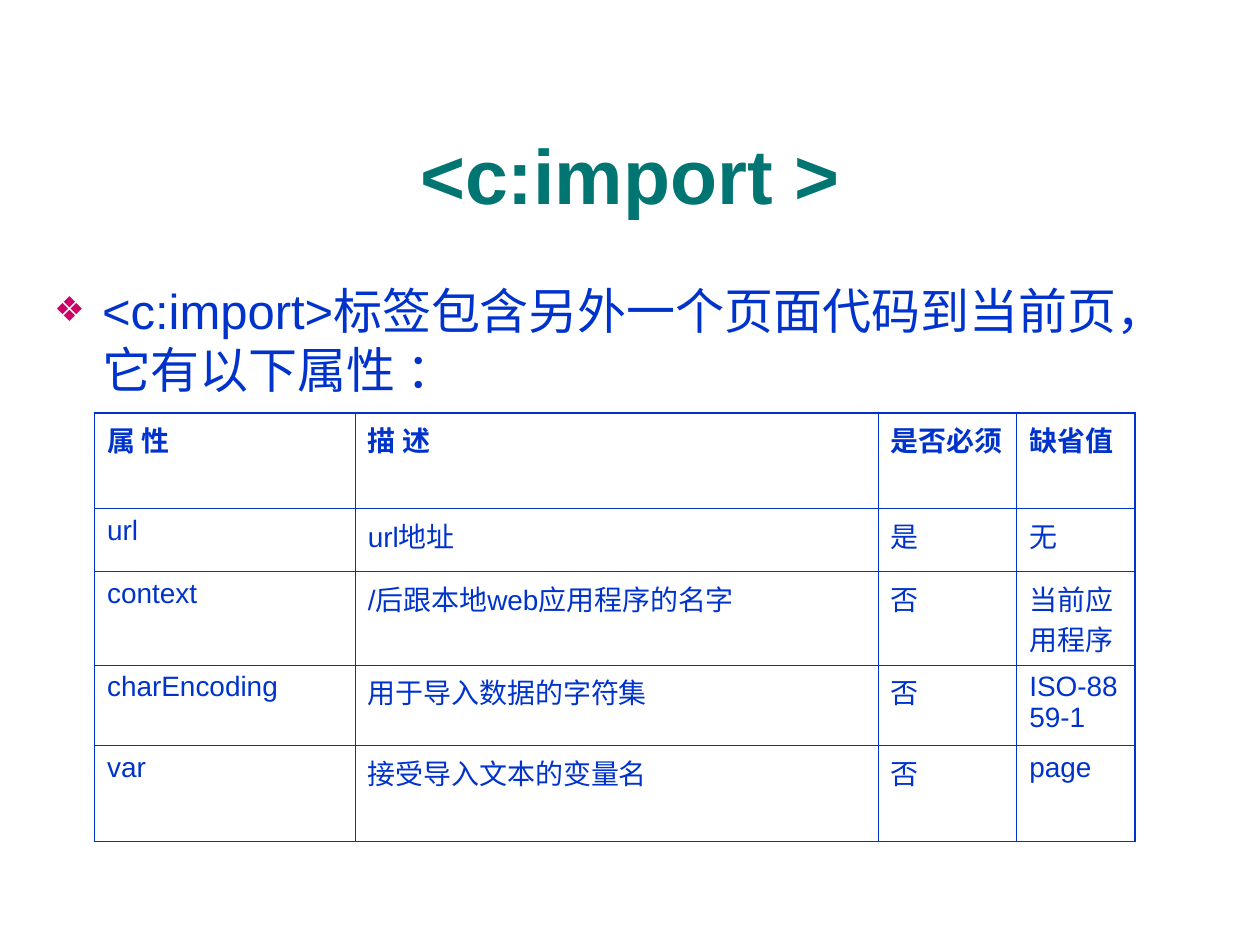
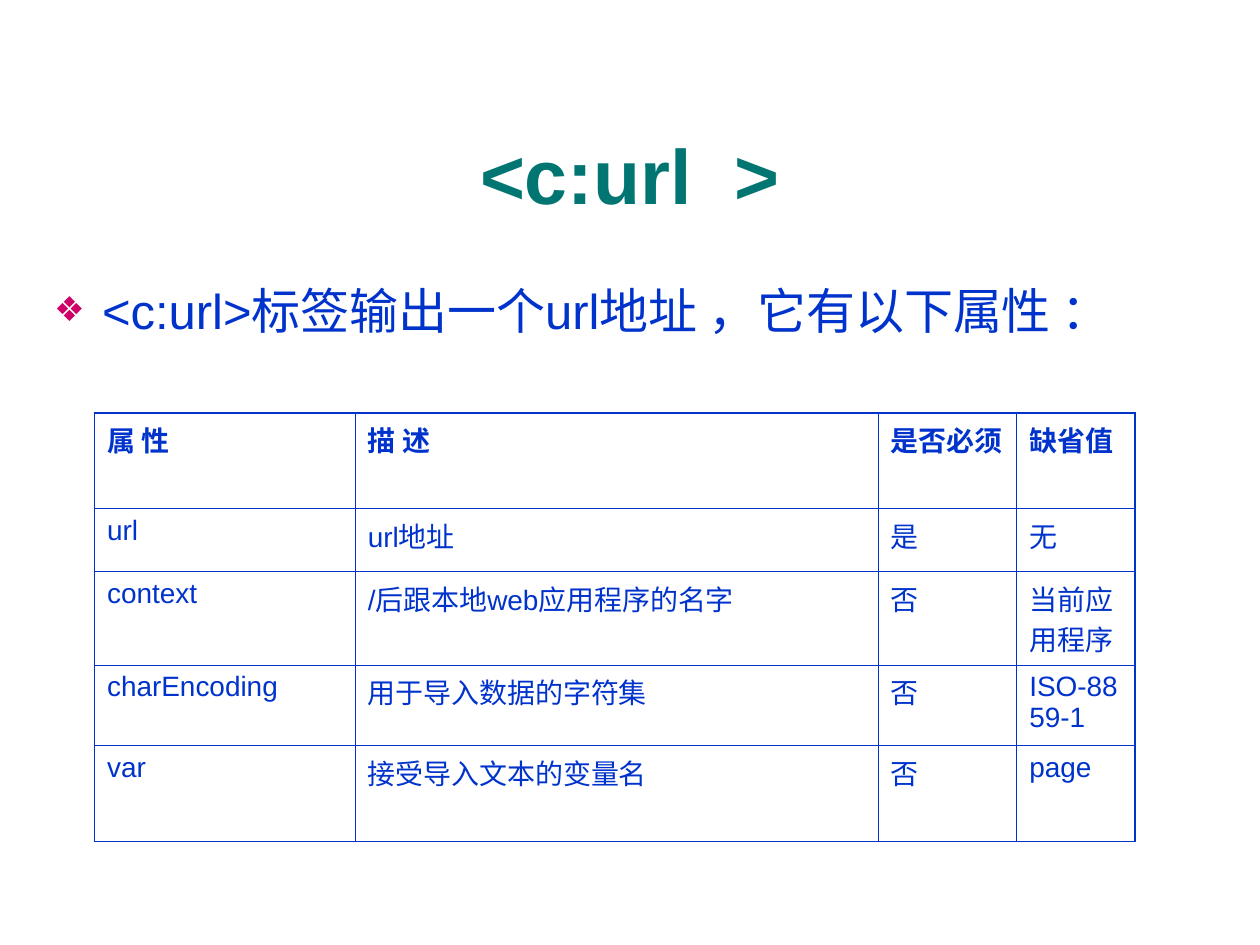
from lxml import etree
from pptx import Presentation
from pptx import util as u
from pptx.dml.color import RGBColor
from pptx.enum import lang, text
from pptx.oxml import ns

TEAL = RGBColor(0x00, 0x75, 0x72)
BLUE = RGBColor(0x00, 0x33, 0xCC)
MAGENTA = RGBColor(0xCC, 0x00, 0x66)
WIDTH, HEIGHT = u.Inches(10), u.Inches(7.5)

TITLE_AREA = (0.033, 0.1, 0.934, 0.167)
INTRO_AREA = (0.033, 0.29, 0.908, 0.567)
TABLE_AREA = (0.075, 0.437, 0.826, 0.44)
COLUMN_WIDTHS = (2.07, 4.15, 1.1, 0.94)
ROW_HEIGHTS = (0.76, 0.5, 0.64, 0.64, 0.76)
OUTER_EDGE, INNER_EDGE = u.Pt(1.08), u.Pt(0.45)

BASE_FONT = {"name": "Arial", "language_id": lang.MSO_LANGUAGE_ID.SIMPLIFIED_CHINESE}
TITLE_FONT = {**BASE_FONT, "size": u.Pt(44), "bold": True}
INTRO_FONT = {**BASE_FONT, "size": u.Pt(28), "bold": False}
HEADER_FONT = {**BASE_FONT, "size": u.Pt(16), "bold": True}
ENTRY_FONT = {**HEADER_FONT, "bold": False}

ATTRIBUTES = (
    ("属 性", "描 述", "是否必须", "缺省值"),
    ("url", "url地址", "是", "无"),
    ("context", "/后跟本地web应用程序的名字", "否", "当前应用程序"),
    ("charEncoding", "用于导入数据的字符集", "否", "ISO-8859-1"),
    ("var", "接受导入文本的变量名", "否", "page"),
)
TAGS = (
    ("<c:import >", "<c:import>标签包含另外一个页面代码到当前页，它有以下属性 ："),
    ("<c:url  >", "<c:url>标签输出一个url地址 ，它有以下属性 ："),
)


def apply(target, values):
    """Set every attribute in values on target."""
    for name, value in values.items():
        setattr(target, name, value)


def to_box(shares):
    """Turn shares of the slide into left, top, width and height."""
    return [round(share * side) for share, side in zip(shares, (WIDTH, HEIGHT) * 2)]


def add_child(parent, tag, **attributes):
    """Append a DrawingML element to parent."""
    return etree.SubElement(parent, ns.qn(tag), attributes)


def write(paragraph, wording, font, colour):
    """Write one formatted run with no space around its paragraph."""
    apply(paragraph, {"space_before": u.Pt(0), "space_after": u.Pt(0)})
    run = paragraph.add_run()
    run.text = wording
    apply(run.font, font)
    run.font.color.rgb = colour


def fill_placeholder(placeholder, area, wording, font, colour, anchor):
    """Move a placeholder, write its text and return the paragraph."""
    apply(placeholder, dict(zip(("left", "top", "width", "height"), to_box(area))))
    frame = placeholder.text_frame
    apply(frame, {"word_wrap": True, "auto_size": text.MSO_AUTO_SIZE.NONE,
                  "vertical_anchor": anchor})
    paragraph = frame.paragraphs[0]
    write(paragraph, wording, font, colour)
    return paragraph


def add_diamond_bullet(paragraph):
    """Give a paragraph the magenta diamond bullet and a hanging indent."""
    properties = paragraph._p.get_or_add_pPr()
    indent = u.Inches(0.38)
    properties.set("marL", str(indent))
    properties.set("indent", str(-indent))
    bullet_colour = add_child(properties, "a:buClr")
    add_child(bullet_colour, "a:srgbClr", val=str(MAGENTA))
    add_child(properties, "a:buSzPct", val="70000")
    add_child(properties, "a:buFont", typeface="Arial")
    add_child(properties, "a:buChar", char="❖")


def draw_edges(cell, outer_sides):
    """Draw the four edges of a cell, heavier where they close the table."""
    properties = cell._tc.get_or_add_tcPr()
    for side, is_outer in outer_sides.items():
        width = OUTER_EDGE if is_outer else INNER_EDGE
        edge = add_child(properties, f"a:ln{side}", w=str(width))
        paint = add_child(edge, "a:solidFill")
        add_child(paint, "a:srgbClr", val=str(BLUE))


def add_attribute_table(slide, entries):
    """Add the table that lists the attributes of a tag."""
    last_row, last_column = len(entries) - 1, len(entries[0]) - 1
    table = slide.shapes.add_table(
        len(entries), len(entries[0]), *to_box(TABLE_AREA)).table
    table.horz_banding = False
    for column, width in zip(table.columns, COLUMN_WIDTHS):
        column.width = u.Inches(width)
    for row, height in zip(table.rows, ROW_HEIGHTS):
        row.height = u.Inches(height)
    for r, entry in enumerate(entries):
        for c, wording in enumerate(entry):
            cell = table.cell(r, c)
            draw_edges(cell, {"L": c == 0, "R": c == last_column,
                              "T": r == 0, "B": r == last_row})
            cell.fill.background()
            font = ENTRY_FONT if r else HEADER_FONT
            write(cell.text_frame.paragraphs[0], wording, font, BLUE)


def add_tag_slide(deck, heading, introduction):
    """Add a slide that explains one tag and its attributes."""
    slide = deck.slides.add_slide(deck.slide_layouts[1])
    title, intro = slide.placeholders
    title_line = fill_placeholder(title, TITLE_AREA, heading, TITLE_FONT, TEAL,
                                  text.MSO_ANCHOR.MIDDLE)
    title_line.alignment = text.PP_ALIGN.CENTER
    intro_line = fill_placeholder(intro, INTRO_AREA, introduction, INTRO_FONT, BLUE,
                                  text.MSO_ANCHOR.TOP)
    intro_line.line_spacing = u.Pt(33.7)
    add_diamond_bullet(intro_line)
    add_attribute_table(slide, ATTRIBUTES)


def main():
    """Build and save the deck."""
    deck = Presentation()
    apply(deck, {"slide_width": WIDTH, "slide_height": HEIGHT})
    for heading, introduction in TAGS:
        add_tag_slide(deck, heading, introduction)
    deck.save("out.pptx")


if __name__ == "__main__":
    main()
